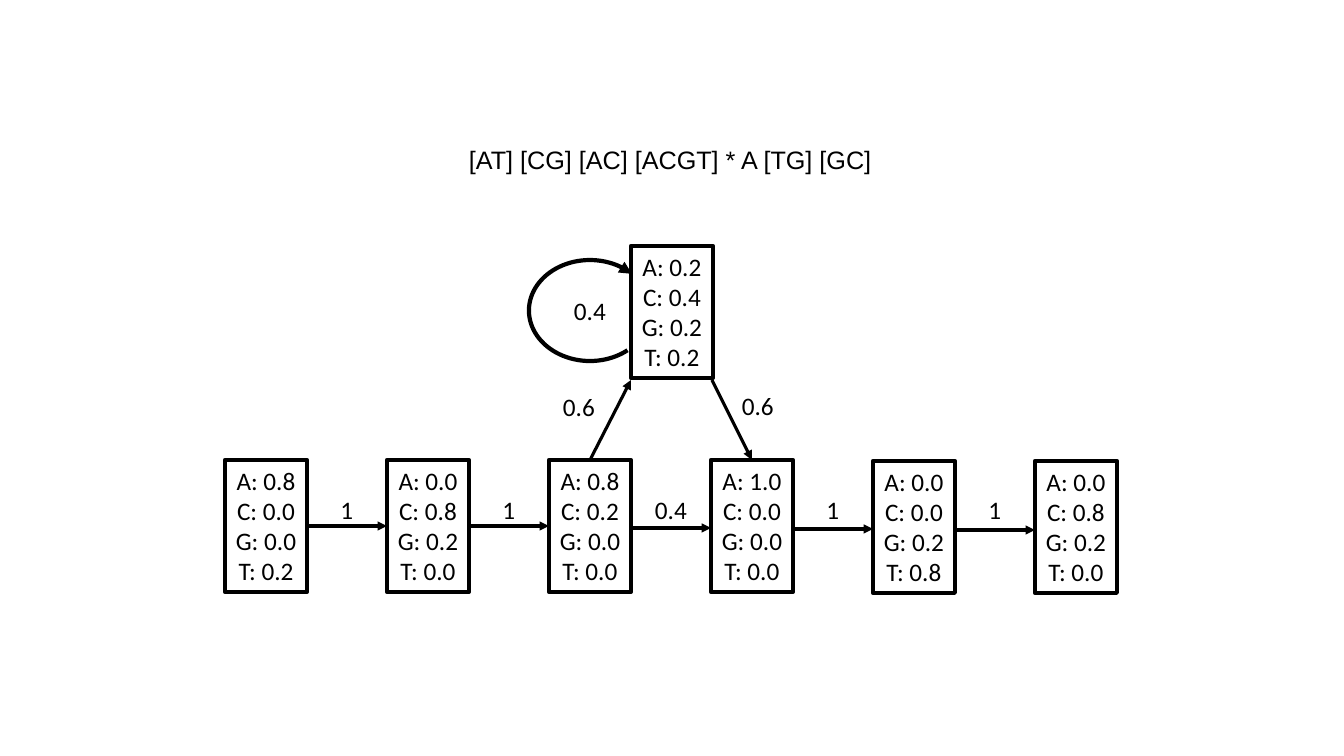
import pptx
import pptx.dml.color
import pptx.enum.shapes
import pptx.enum.text
import pptx.oxml
import pptx.oxml.ns
import pptx.util

SCALE = 914400 / 100.8
BLACK = "000000"
SHAPE = pptx.enum.shapes.MSO_SHAPE
ALIGN = pptx.enum.text.PP_ALIGN
BOX_W, BOX_H, PITCH = 82, 132, 162
CHAIN_LEFT, CHAIN_TOP = 225, 460
LOOP_LEFT, LOOP_TOP = 631, 246


def px(n):
    """Turn picture pixels into EMU."""
    return pptx.util.Emu(round(n * SCALE))


def rgb(value):
    """Turn a hex string into a colour."""
    return pptx.dml.color.RGBColor.from_string(value)


def set_text(s, text, font="Calibri", align=ALIGN.LEFT):
    """Write unwrapped 18 pt black text into a shape."""
    tf = s.text_frame
    tf.text = text
    tf.word_wrap = False
    tf.auto_size = pptx.enum.text.MSO_AUTO_SIZE.SHAPE_TO_FIT_TEXT
    tf.vertical_anchor = pptx.enum.text.MSO_ANCHOR.TOP
    for p in tf.paragraphs:
        p.alignment = align
        for r in p.runs:
            r.font.size = pptx.util.Pt(18)
            r.font.name = font
            r.font.color.rgb = rgb(BLACK)


def set_line(s, width, arrow=False):
    """Give a shape a black line, optionally ending in an arrowhead."""
    s.line.color.rgb = rgb(BLACK)
    s.line.width = pptx.util.Pt(width)
    if arrow:
        ln = s.line._get_or_add_ln()
        tail = pptx.oxml.parse_xml(
            f'<a:tailEnd {pptx.oxml.ns.nsdecls("a")} type="triangle"/>')
        ln.append(tail)


def add_label(sp, x, y, w, text, font="Calibri"):
    """Add a one-line text box."""
    s = sp.add_textbox(px(x), px(y), px(w), px(40))
    set_text(s, text, font)


def add_weight(sp, center, y, text):
    """Add a transition probability centred on a point."""
    w = 33 if len(text) == 1 else 52
    add_label(sp, center - w / 2, y, w, text)


def add_outline(sp, kind, x, y, w, h, arrow=False):
    """Add an unfilled shape with a thick black outline."""
    s = sp.add_shape(kind, px(x), px(y), px(w), px(h))
    s.shadow.inherit = False
    s.fill.background()
    set_line(s, 3, arrow)
    return s


def add_state(sp, x, y, values):
    """Add a state box listing its emission probabilities."""
    s = add_outline(sp, SHAPE.RECTANGLE, x, y, BOX_W, BOX_H)
    lines = [f"{base}: {v:.1f}" for base, v in zip("ACGT", values)]
    set_text(s, "\n".join(lines), align=ALIGN.CENTER)


def add_arrow(sp, x1, y1, x2, y2):
    """Add a straight arrow."""
    s = sp.add_connector(pptx.enum.shapes.MSO_CONNECTOR.STRAIGHT,
                         px(x1), px(y1), px(x2), px(y2))
    set_line(s, 2.25, arrow=True)
    s._element.spPr.append(pptx.oxml.parse_xml(
        f'<a:effectLst {pptx.oxml.ns.nsdecls("a")}/>'))


def add_loop(sp):
    """Add the arc that returns to the insertion state."""
    s = add_outline(sp, SHAPE.ARC, 529, 260, 122, 101, arrow=True)
    s.adjustments[0] = 27.958
    s.adjustments[1] = 191.28


def main():
    """Build the profile model slide."""
    prs = pptx.Presentation()
    prs.slide_width, prs.slide_height = px(1344), px(756)
    sp = prs.slides.add_slide(prs.slide_layouts[6]).shapes

    add_label(sp, 459, 139, 427, "[AT] [CG] [AC] [ACGT] * A [TG] [GC]", "Arial")

    states = [(0.8, 0, 0, 0.2), (0, 0.8, 0.2, 0), (0.8, 0.2, 0, 0),
              (1, 0, 0, 0), (0, 0, 0.2, 0.8), (0, 0.8, 0.2, 0)]
    lefts = [CHAIN_LEFT + i * PITCH for i in range(len(states))]
    for i, (x, values) in enumerate(zip(lefts, states)):
        add_state(sp, x, CHAIN_TOP + i // 4, values)
    add_state(sp, LOOP_LEFT, LOOP_TOP, (0.2, 0.4, 0.2, 0.2))

    steps = [("1", 526), ("1", 526), ("0.4", 528), ("1", 529), ("1", 530)]
    for x, (weight, y) in zip(lefts, steps):
        add_arrow(sp, x + BOX_W, y, x + PITCH, y)
        add_weight(sp, x + 122, 489, weight)

    add_arrow(sp, lefts[2] + BOX_W / 2, CHAIN_TOP, LOOP_LEFT, 380)
    add_arrow(sp, LOOP_LEFT + BOX_W - 1, 380, lefts[3] + BOX_W / 2, CHAIN_TOP)
    add_loop(sp)
    for center, y, weight in [(590, 290, "0.4"), (579, 386, "0.6"),
                              (758, 385, "0.6")]:
        add_weight(sp, center, y, weight)

    prs.save("out.pptx")


main()
